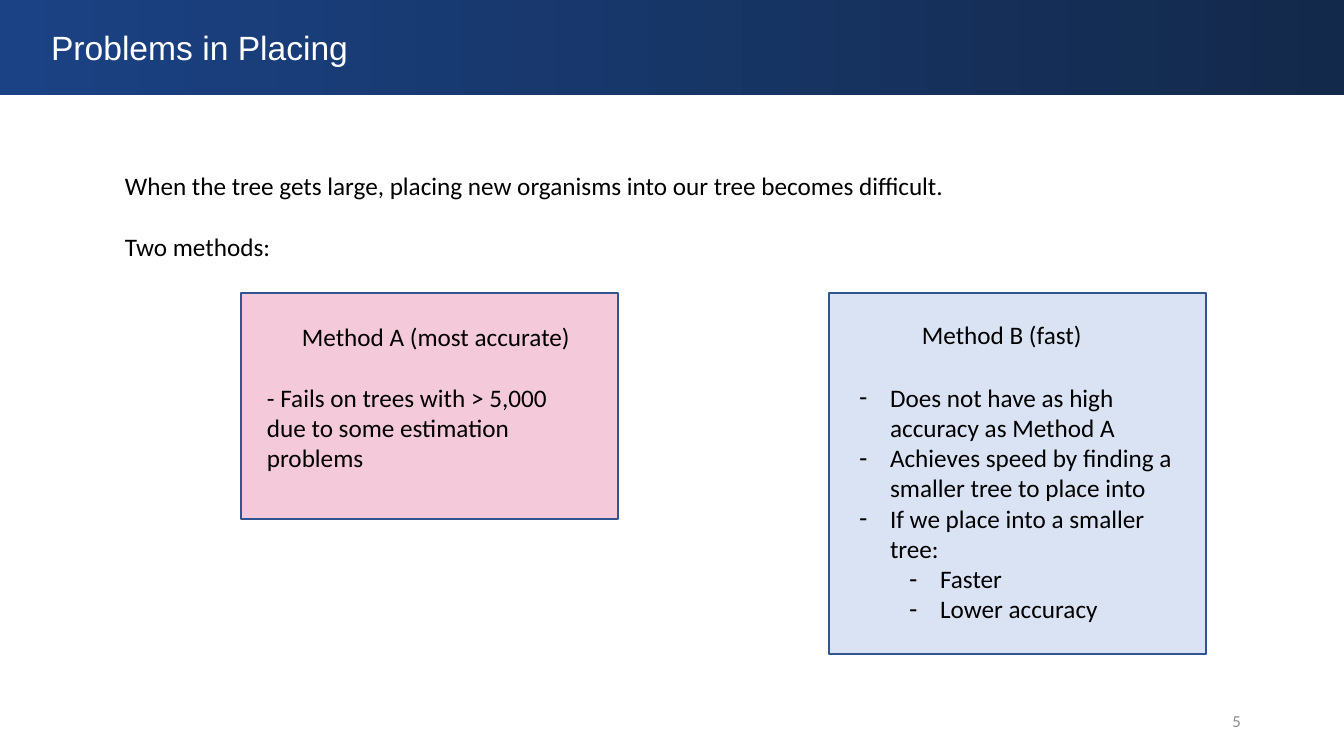
from lxml import etree
from pptx import Presentation
from pptx.dml.color import RGBColor
from pptx.enum.shapes import MSO_SHAPE
from pptx.enum.text import MSO_ANCHOR, MSO_AUTO_SIZE, PP_ALIGN
from pptx.oxml.ns import qn
from pptx.util import Emu, Pt

RECT = MSO_SHAPE.RECTANGLE
LEFT, RIGHT = PP_ALIGN.LEFT, PP_ALIGN.RIGHT
TOP, MIDDLE = MSO_ANCHOR.TOP, MSO_ANCHOR.MIDDLE
NO_FIT = MSO_AUTO_SIZE.NONE
SCALE = 914400 / 100.8
BOX_TOP, BOX_WIDTH = 293, 377
LIST_TOP, LIST_WIDTH = 377, 340
STEP = 50
HANG = 31

POINTS = [
    (0, "Does not have as high accuracy as Method A"),
    (0, "Achieves speed by finding a smaller tree to place into"),
    (0, "If we place into a smaller tree:"),
    (1, "Faster"),
    (1, "Lower accuracy"),
]


def px(n):
    return Emu(round(n * SCALE))


def color(code):
    return RGBColor.from_string(code)


def place(shape, left, top, width, height):
    shape.left, shape.top = px(left), px(top)
    shape.width, shape.height = px(width), px(height)


def write(shape, lines, size=18, face="Calibri", ink="000000",
          align=LEFT, anchor=TOP, gap=0):
    """Fill a shape with paragraphs; gap is the space between them in points."""
    frame = shape.text_frame
    frame.text = "\n".join(lines)
    frame.word_wrap = True
    frame.auto_size = NO_FIT
    frame.vertical_anchor = anchor
    for i, para in enumerate(frame.paragraphs):
        para.alignment = align
        para.space_before = Pt(gap if i else 0)
        para.font.size = Pt(size)
        para.font.name = face
        para.font.color.rgb = color(ink)


def add_text(slide, area, lines, **style):
    box = slide.shapes.add_textbox(*map(px, area))
    write(box, lines, **style)


def add_rect(slide, area):
    rect = slide.shapes.add_shape(RECT, *map(px, area))
    rect.shadow.inherit = False
    return rect


def add_banner(slide):
    banner = add_rect(slide, (0, -1, 1344, 96))
    banner.line.fill.background()
    banner.fill.gradient()
    banner.fill.gradient_angle = 0
    for stop, code in zip(banner.fill.gradient_stops, ("1B4284", "13294B")):
        stop.color.rgb = color(code)


def add_panel(slide, left, height, code, alpha=100):
    panel = add_rect(slide, (left, BOX_TOP, BOX_WIDTH, height))
    panel.fill.solid()
    panel.fill.fore_color.rgb = color(code)
    panel.line.color.rgb = color("325491")
    panel.line.width = Pt(1)
    if alpha < 100:
        tint = panel.element.spPr.find(qn("a:solidFill"))[0]
        etree.SubElement(tint, qn("a:alpha")).set("val", str(alpha * 1000))


def add_dashes(shape, levels):
    """Give each paragraph a hanging dash, indented by its level."""
    for para, level in zip(shape.text_frame.paragraphs, levels):
        para.level = level
        props = para._p.get_or_add_pPr()
        props.set("marL", str(px(HANG + STEP * level)))
        props.set("indent", str(px(-HANG)))
        dash = etree.Element(qn("a:buChar"), char="-")
        props.find(qn("a:defRPr")).addprevious(dash)


def bring_front(shape):
    shape.element.getparent().append(shape.element)


def main():
    deck = Presentation()
    deck.slide_width, deck.slide_height = px(1344), px(756)
    slide = deck.slides.add_slide(deck.slide_layouts[1])
    title, body = slide.placeholders

    add_banner(slide)
    place(title, 41, 22, 1203, 50)
    write(title, ["Problems in Placing"], size=24, face="Arial",
          ink="FFFFFF", anchor=MIDDLE)
    bring_front(title)

    add_text(slide, (115, 165, 860, 132), [
        "When the tree gets large, placing new organisms into our tree "
        "becomes difficult.",
        "Two methods:",
    ], gap=22)

    add_panel(slide, 241, 226, "EB96B5", alpha=51)
    add_text(slide, (292, 316, 300, 71), ["Method A (most accurate)"])
    add_text(slide, (257, LIST_TOP, LIST_WIDTH, 102),
             ["- Fails on trees with > 5,000 due to some estimation problems"])

    add_panel(slide, 829, 361, "DAE3F3")
    add_text(slide, (912, 314, 190, 71), ["Method B (fast)"])
    levels, lines = zip(*POINTS)
    place(body, 849, LIST_TOP, LIST_WIDTH, 254)
    write(body, lines)
    add_dashes(body, levels)
    bring_front(body)

    add_text(slide, (949, 701, 302, 40), ["5"], size=12, ink="8C8C8C",
             align=RIGHT, anchor=MIDDLE)
    deck.save("out.pptx")


if __name__ == "__main__":
    main()
